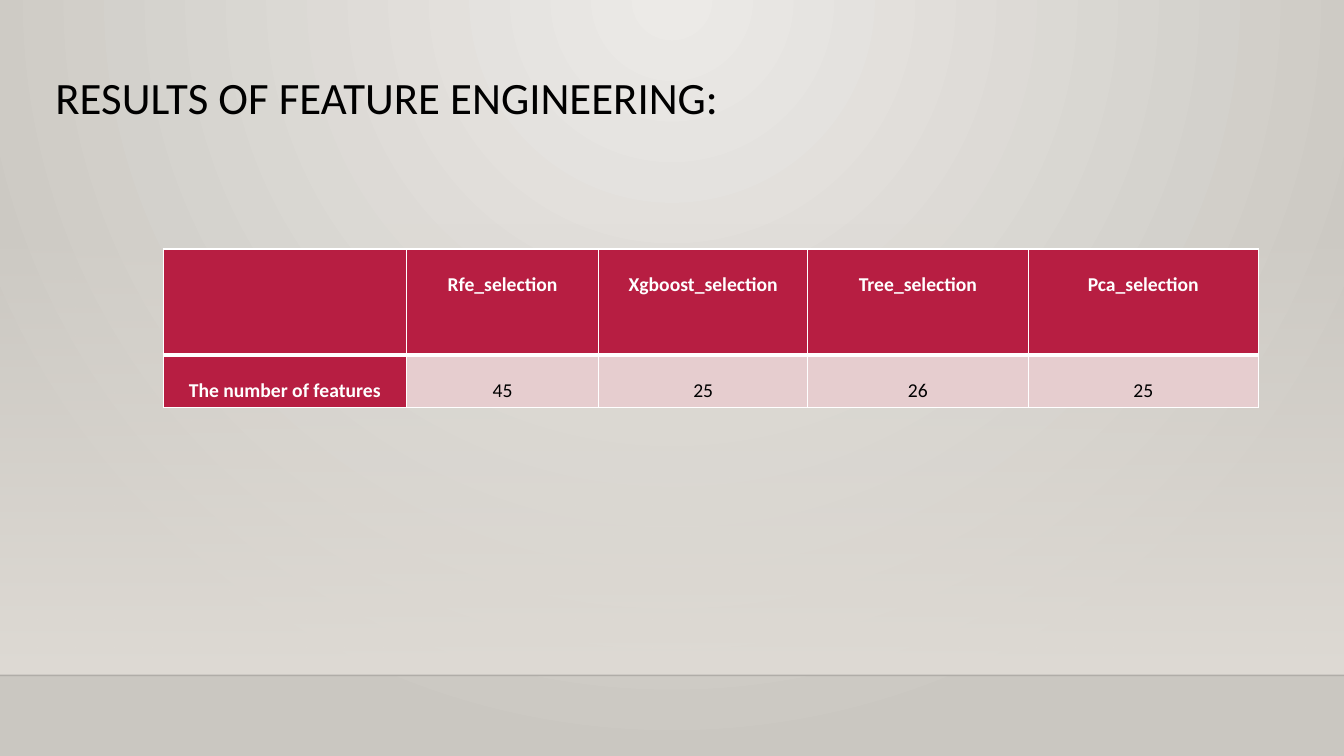
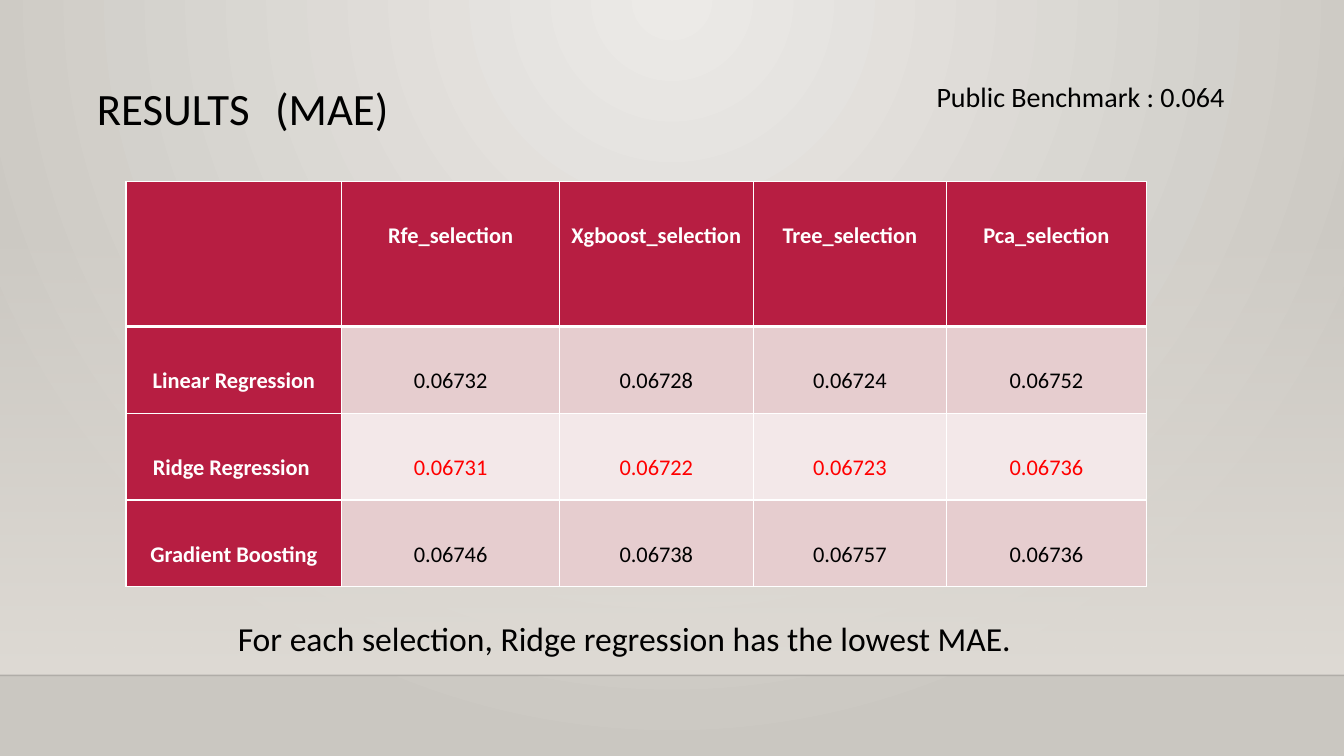
from lxml.etree import SubElement
from pptx import Presentation
from pptx.dml.color import RGBColor
from pptx.enum.shapes import MSO_CONNECTOR, MSO_SHAPE
from pptx.enum.text import MSO_ANCHOR, MSO_AUTO_SIZE, PP_ALIGN
from pptx.oxml import parse_xml
from pptx.oxml.ns import nsdecls, qn
from pptx.util import Inches, Pt

BLACK = RGBColor(0x00, 0x00, 0x00)
WHITE = RGBColor(0xFF, 0xFF, 0xFF)
RED = RGBColor(0xFF, 0x00, 0x00)
CRIMSON = RGBColor(0xB7, 0x1E, 0x42)
ROSE = RGBColor(0xE6, 0xCD, 0xCF)
PALE_ROSE = RGBColor(0xF3, 0xE8, 0xE9)
GLOW = RGBColor(0xEC, 0xEA, 0xE7)
STONE = RGBColor(0xCA, 0xC7, 0xC1)
SAND = RGBColor(0xDF, 0xDB, 0xD5)

SELECTIONS = ["Rfe_selection", "Xgboost_selection", "Tree_selection", "Pca_selection"]
WIDTH, HEIGHT = 13.33, 7.5
BAND_TOP, FLOOR = 2.21, 6.7
TITLE_SIZE = 32


def apply(target, values):
    for name, value in values.items():
        setattr(target, name, value)


def set_opacity(colour, percent):
    SubElement(colour, qn("a:alpha")).set("val", str(percent * 1000))


def set_gradient(fill, *colours):
    fill.gradient()
    for stop, position, colour in zip(fill.gradient_stops, (0, 1), colours):
        stop.position = position
        stop.color.rgb = colour


def set_border(cell, side, width):
    """Draw one white cell edge; side is L, R, T or B."""
    line = parse_xml(
        f'<a:ln{side} {nsdecls("a")} w="{Pt(width)}"><a:solidFill>'
        f'<a:srgbClr val="{WHITE}"/></a:solidFill></a:ln{side}>')
    cell._tc.get_or_add_tcPr().append(line)


class ResultsDeck:
    font = "Calibri"

    def __init__(self):
        self.deck = Presentation()
        apply(self.deck, {"slide_width": Inches(WIDTH), "slide_height": Inches(HEIGHT)})
        self.page = None
        self.set_background()

    def set_background(self):
        """Give the master a radial glow centred on the top edge."""
        master = self.deck.slide_master
        set_gradient(master.background.fill, GLOW, STONE)
        gradient = master._element.xpath("p:cSld/p:bg//a:gradFill")[0]
        glow_path = parse_xml(
            f'<a:path {nsdecls("a")} path="circle">'
            '<a:fillToRect l="43000" t="0" r="43000" b="100000"/></a:path>')
        gradient.replace(gradient.find(qn("a:lin")), glow_path)

    def add_page(self):
        self.page = self.deck.slides.add_slide(self.deck.slide_layouts[5])
        self.add_band()
        self.add_floor_line()

    def add_band(self):
        band = self.page.shapes.add_shape(
            MSO_SHAPE.RECTANGLE, 0, Inches(BAND_TOP), Inches(WIDTH), Inches(FLOOR - BAND_TOP))
        band.shadow.inherit = False
        band.line.fill.background()
        set_gradient(band.fill, SAND, SAND)
        band.fill.gradient_angle = 270
        set_opacity(band._element.xpath(".//a:gs/a:srgbClr")[0], 0)

    def add_floor_line(self):
        line = self.page.shapes.add_connector(
            MSO_CONNECTOR.STRAIGHT, 0, Inches(FLOOR), Inches(WIDTH), Inches(FLOOR))
        line.line.width = Pt(1)
        line.line.color.rgb = BLACK
        set_opacity(line._element.xpath(".//a:ln//a:srgbClr")[0], 20)
        SubElement(line._element.spPr, qn("a:effectLst"))

    def add_span(self, para, text, size, colour=BLACK, bold=False, font=None):
        span = para.add_run()
        span.text = text
        apply(span.font, {"name": font or self.font, "size": Pt(size), "bold": bold})
        span.font.color.rgb = colour

    def add_title(self, spans, left, top, width, height, spacing=1.0):
        """Fill the title from spans, each a tuple of add_span values after para."""
        title = self.page.shapes.title
        apply(title, {"left": Inches(left), "top": Inches(top),
                      "width": Inches(width), "height": Inches(height)})
        apply(title.text_frame, {"word_wrap": True, "auto_size": MSO_AUTO_SIZE.NONE,
                                 "vertical_anchor": MSO_ANCHOR.MIDDLE})
        para = title.text_frame.paragraphs[0]
        apply(para, {"alignment": PP_ALIGN.LEFT, "line_spacing": spacing})
        for span in spans:
            self.add_span(para, *span)

    def add_text(self, text, size, left, top, width, height):
        box = self.page.shapes.add_textbox(
            Inches(left), Inches(top), Inches(width), Inches(height))
        box.text_frame.word_wrap = True
        self.add_span(box.text_frame.paragraphs[0], text, size)

    def add_results(self, rows, left, top, columns, heights, size, spacing, best=None):
        """Add a table under the selection headings; row number best is in red."""
        grid = self.page.shapes.add_table(
            len(heights), len(columns), Inches(left), Inches(top),
            Inches(sum(columns)), Inches(sum(heights))).table
        for column, width in zip(grid.columns, columns):
            column.width = Inches(width)
        for row, height in zip(grid.rows, heights):
            row.height = Inches(height)
        for r, values in enumerate([["", *SELECTIONS], *rows]):
            for c, value in enumerate(values):
                cell = grid.cell(r, c)
                heading = r == 0 or c == 0
                for side in "LRTB":
                    under_header = (r, side) in ((0, "B"), (1, "T"))
                    set_border(cell, side, 3 if under_header else 1)
                cell.fill.solid()
                cell.fill.fore_color.rgb = CRIMSON if heading else ROSE if r % 2 else PALE_ROSE
                apply(cell, {"margin_left": Inches(0.07), "margin_right": Inches(0.07),
                             "margin_top": 0, "margin_bottom": 0,
                             "vertical_anchor": MSO_ANCHOR.TOP})
                if value:
                    para = cell.text_frame.paragraphs[0]
                    apply(para, {"alignment": PP_ALIGN.CENTER, "line_spacing": spacing,
                                 "space_after": Pt(7.9)})
                    colour = WHITE if heading else RED if r == best else BLACK
                    self.add_span(para, value, size, colour, heading)


def add_feature_counts(deck):
    deck.add_page()
    deck.add_title([("RESULTS OF FEATURE ENGINEERING:", TITLE_SIZE)],
                   0.45, 0.69, 11.86, 0.61, spacing=0.9)
    deck.add_results([["The number of features", "45", "25", "26", "25"]],
                     1.62, 2.47, [2.41, 1.91, 2.07, 2.19, 2.28], [1.05, 0.52],
                     size=14, spacing=2.0)


def add_errors(deck):
    deck.add_page()
    deck.add_title([("RESULTS", TITLE_SIZE),
                    (" ", 54, BLACK, False, "Comic Neue"),
                    ("(MAE)", TITLE_SIZE)], 0.86, 0.44, 7.4, 1.01)
    deck.add_text("Public Benchmark : 0.064", 20, 9.19, 0.74, 3.49, 0.44)
    deck.add_results([
        ["Linear Regression", "0.06732", "0.06728", "0.06724", "0.06752"],
        ["Ridge Regression ", "0.06731", "0.06722", "0.06723", "0.06736"],
        ["Gradient Boosting", "0.06746", "0.06738", "0.06757", "0.06736"],
    ], 1.25, 1.8, [2.14, 2.16, 1.92, 1.92, 1.98], [1.44] + [0.86] * 3,
        size=16, spacing=2.5, best=2)
    deck.add_text("For each selection, Ridge regression has the lowest MAE.",
                  24, 2.26, 6.08, 9.12, 0.5)


def main():
    results = ResultsDeck()
    add_feature_counts(results)
    add_errors(results)
    results.deck.save("out.pptx")


if __name__ == "__main__":
    main()
